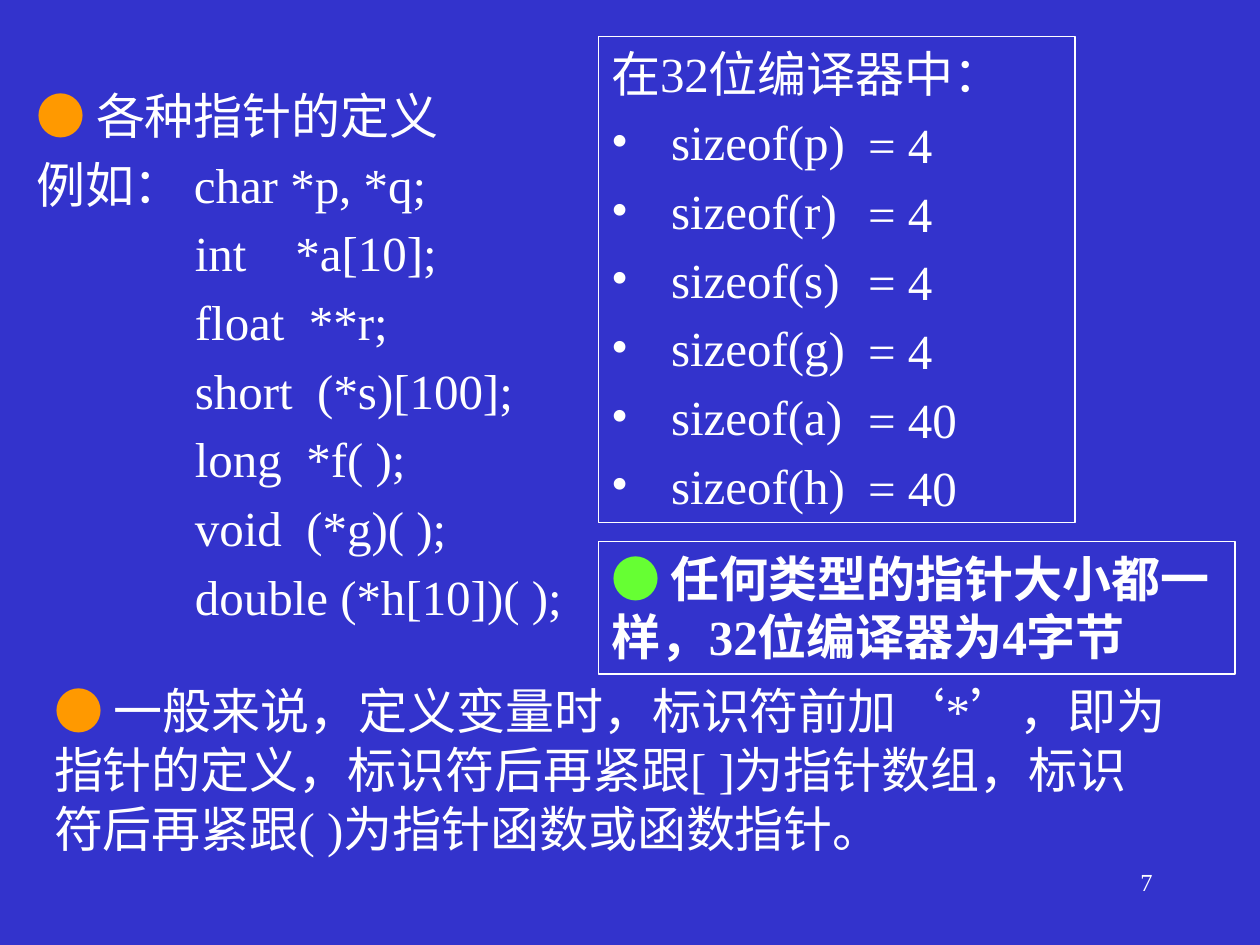
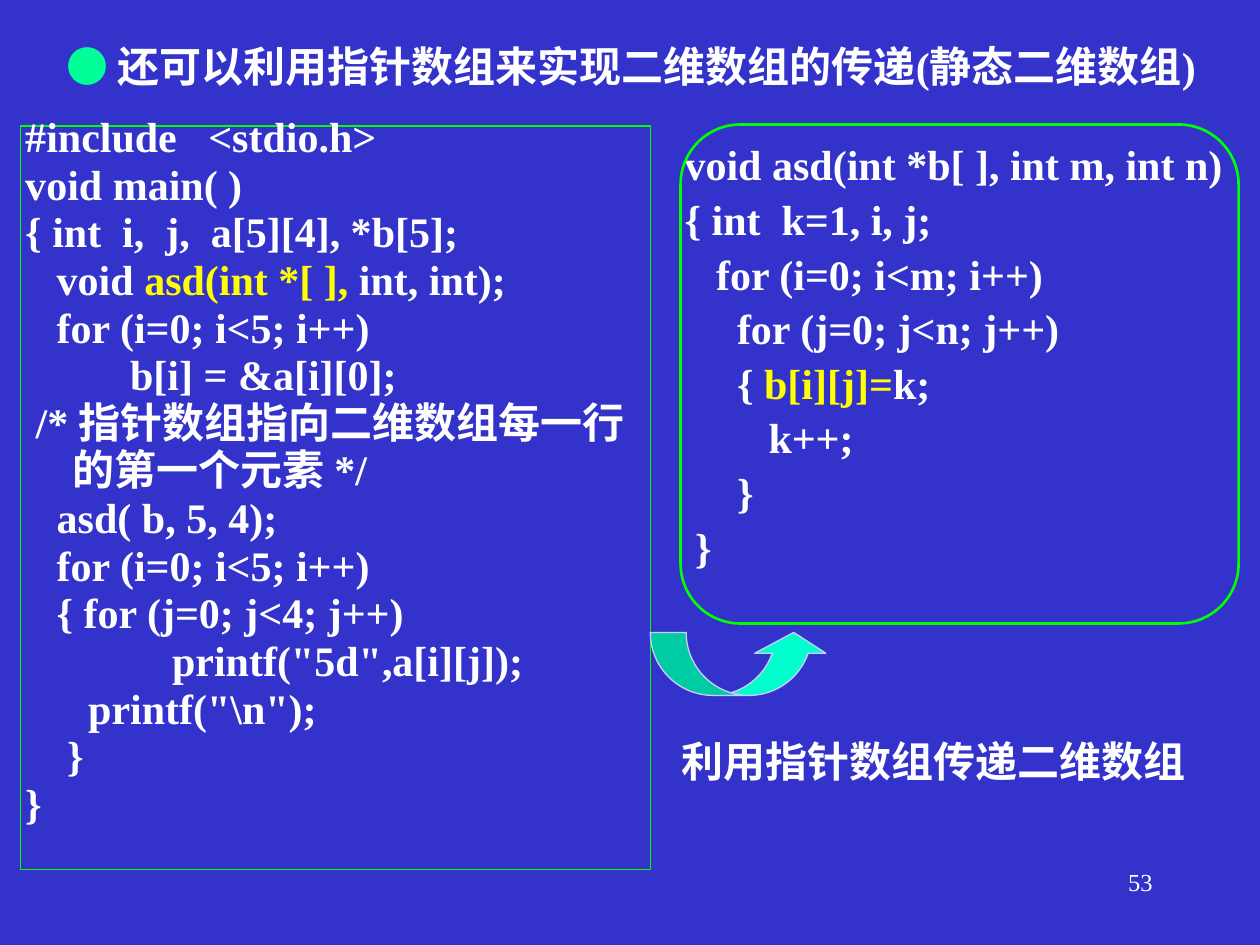
from dataclasses import dataclass

from lxml import etree
from pptx import Presentation
from pptx import util as u
from pptx.dml.color import RGBColor
from pptx.enum import shapes, text
from pptx.oxml.ns import qn


@dataclass(frozen=True)
class Theme:
    font: str = "Times New Roman"
    back: str = "3333CC"
    ink: str = "FFFFFF"
    gold: str = "FF9900"
    lime: str = "66FF33"
    mint: str = "00FF99"
    mark: str = "FFFF00"
    frame: str = "00FF00"
    arrow: str = "00FFCC"
    edge: str = "CCCCFF"
    body: float = 28
    code: float = 24
    page: float = 14


T = Theme()
rgb = RGBColor.from_string
DOT = "● "
KIND = shapes.MSO_SHAPE


def write(shape, paras, size, bold=False, gap=0, lead=None, pad=(0.25, 0.13), align="LEFT"):
    """Fill a shape; a paragraph is a string or a list of (text, colour, bold)."""
    frame = shape.text_frame
    frame.word_wrap = True
    frame.auto_size = text.MSO_AUTO_SIZE.NONE
    frame.vertical_anchor = text.MSO_ANCHOR.TOP
    frame.margin_left = frame.margin_right = u.Cm(pad[0])
    frame.margin_top = frame.margin_bottom = u.Cm(pad[1])
    for i, runs in enumerate(paras):
        para = frame.add_paragraph() if i else frame.paragraphs[0]
        para.alignment = getattr(text.PP_ALIGN, align)
        para.space_before = u.Pt(gap if i else 0)
        if lead:
            para.line_spacing = u.Pt(lead)
        if isinstance(runs, str):
            runs = [(runs, T.ink, bold)]
        for words, tint, heavy in runs:
            run = para.add_run()
            run.text = words
            run.font.name = T.font
            run.font.size = u.Pt(size)
            run.font.bold = heavy
            run.font.color.rgb = rgb(tint)
    return frame.paragraphs


def place(slide, at, kind=None, line=None, width=0.75, fill=None):
    """Add a text box, or a preset shape when a kind is given."""
    spot = [u.Cm(n) for n in at]
    if kind is None:
        return slide.shapes.add_textbox(*spot)
    shape = slide.shapes.add_shape(kind, *spot)
    shape.shadow.inherit = False
    shape.line.color.rgb = rgb(line)
    shape.line.width = u.Pt(width)
    if fill:
        shape.fill.solid()
        shape.fill.fore_color.rgb = rgb(fill)
    else:
        shape.fill.background()
    return shape


# Deck and shared background
deck = Presentation()
deck.slide_width, deck.slide_height = u.Cm(25.4), u.Cm(19.05)
back = deck.slide_master.background.fill
back.solid()
back.fore_color.rgb = rgb(T.back)

# Titles and page numbers
heads = [
    ("各种指针的定义", T.gold, T.body, False, (0.48, 1.6, 11.18, 1.38), "7"),
    ("还可以利用指针数组来实现二维数组的传递(静态二维数组)",
     T.mint, T.code, True, (1.09, 0.69, 24.08, 1.27), "53"),
]
for words, tint, size, bold, at, num in heads:
    slide = deck.slides.add_slide(deck.slide_layouts[5])
    title = slide.shapes.title
    title.left, title.top, title.width, title.height = [u.Cm(n) for n in at]
    write(title, [[(DOT, tint, False), (words, T.ink, bold)]], size)
    write(place(slide, (18.21, 17.35, 5.28, 1.27)), [num], T.page, align="RIGHT")
types, pass2d = deck.slides

# Slide 1: pointer definitions
defs = [
    "例如： char *p, *q;",
    "int    *a[10];",
    "float  **r;",
    "short  (*s)[100];",
    "long  *f( );",
    "void  (*g)( );",
    "double (*h[10])( );",
]
gap = T.body * 0.2
paras = write(place(types, (0.48, 2.98, 11.18, 10.02)), defs, T.body, gap=gap)
for para in paras[1:]:
    para._p.get_or_add_pPr().set("marL", str(u.Cm(3.2)))

# Sizes, with a column of values beside the bullets
sizes = {"p": 4, "r": 4, "s": 4, "g": 4, "a": 40, "h": 40}
panel = place(types, (12.07, 0.74, 9.6, 9.8), KIND.RECTANGLE, T.ink)
lines = ["在32位编译器中："] + [f"sizeof({name})" for name in sizes]
for para in write(panel, lines, T.body, gap=gap)[1:]:
    props = para._p.get_or_add_pPr()
    props.set("marL", str(u.Cm(1.21)))
    props.set("indent", str(u.Cm(-1.21)))
    etree.SubElement(props, qn("a:buFont")).set("typeface", T.font)
    etree.SubElement(props, qn("a:buChar")).set("char", "•")
write(place(types, (17.25, 2.18, 5.28, 9.09)),
      [f"= {n}" for n in sizes.values()], T.body, gap=gap)

# Conclusions
rule = "一般来说，定义变量时，标识符前加‘*’，即为指针的定义，标识符后再紧跟[ ]为指针数组，标识符后再紧跟( )为指针函数或函数指针。"
write(place(types, (0.84, 13.59, 22.96, 3.84)),
      [[(DOT, T.gold, False), (rule, T.ink, False)]], T.body)
fact = place(types, (12.07, 10.92, 12.83, 2.67), KIND.RECTANGLE, T.ink)
write(fact, [[(DOT, T.lime, False),
              ("任何类型的指针大小都一样，32位编译器为4字节", T.ink, True)]], T.body)

# Slide 2: calling code
main = [
    "#include   <stdio.h>",
    "void main( )",
    "{ int  i,  j,  a[5][4], *b[5];",
    [("   void ", T.ink, True), ("asd(int *[ ], ", T.mark, True), ("int, int);", T.ink, True)],
    "   for (i=0; i<5; i++)",
    "          b[i] = &a[i][0];",
    " /* 指针数组指向二维数组每一行",
    "     的第一个元素 */",
    "   asd( b, 5, 4);",
    "   for (i=0; i<5; i++)",
    "   { for (j=0; j<4; j++)",
    "              printf(\"5d\",a[i][j]);",
    "      printf(\"\\n\");",
    "    }",
    "}",
]
gap, pad = T.code * 0.3, (0.1, 0)
left = place(pass2d, (0.41, 2.54, 12.7, 14.99), KIND.RECTANGLE, T.frame)
write(left, main, T.code, True, gap, 20, pad)

# Called function in its rounded frame
func = [
    " void asd(int *b[ ], int m, int n)",
    " { int  k=1, i, j;",
    "    for (i=0; i<m; i++)",
    "      for (j=0; j<n; j++)",
    [("      { ", T.ink, True), ("b[i][j]=", T.mark, True), ("k;", T.ink, True)],
    "         k++;",
    "      }",
    "  }",
]
write(place(pass2d, (13.49, 2.97, 11.58, 8.99)), func, T.code, True, gap, 24, pad)
ring = place(pass2d, (13.72, 2.51, 11.25, 10.06), KIND.ROUNDED_RECTANGLE, T.frame, 1.5)
ring.adjustments[0] = 0.12

# Arrow from caller to function, and caption
arrow = place(pass2d, (13.11, 12.75, 3.61, 1.27), KIND.CURVED_UP_ARROW, T.edge, fill=T.arrow)
for i, part in enumerate((0.57, 1.13, 0.33)):
    arrow.adjustments[i] = part
write(place(pass2d, (13.64, 14.83, 11.07, 1.02)), ["利用指针数组传递二维数组"],
      T.code, True, pad=pad)

deck.save("out.pptx")
